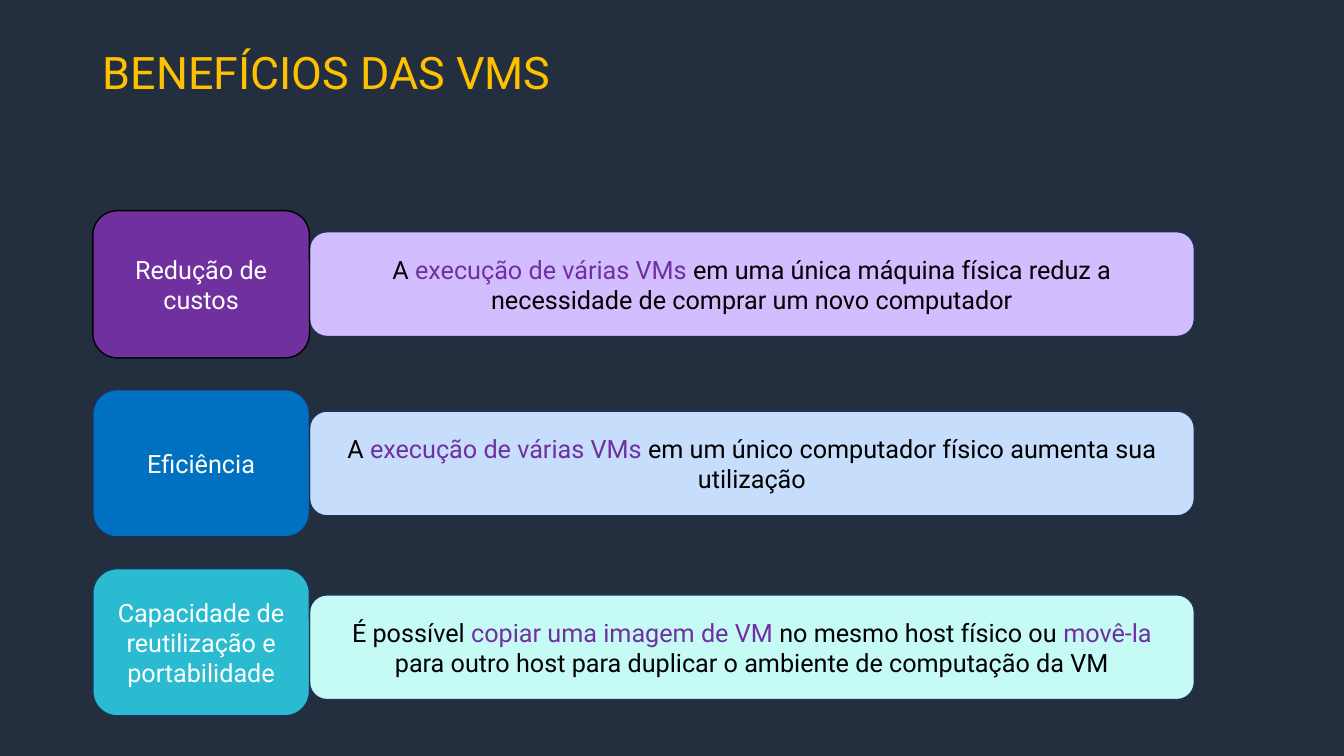
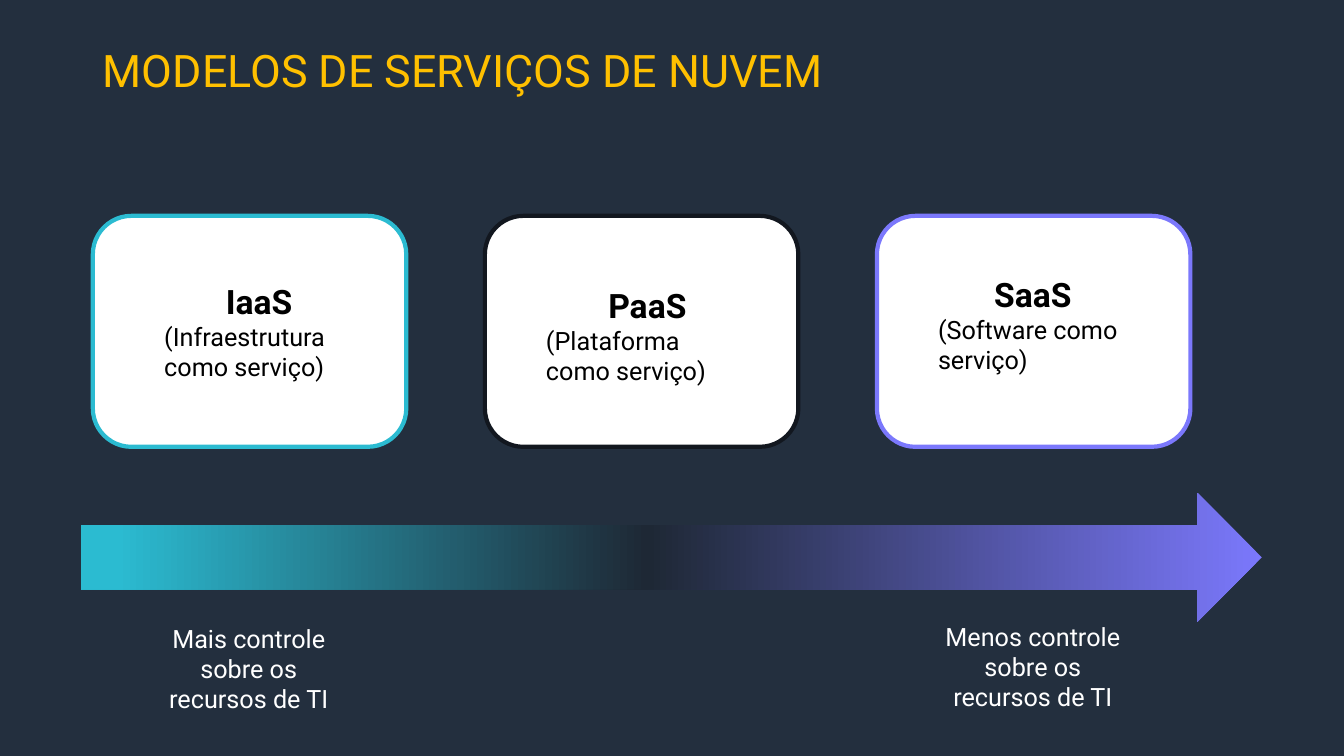
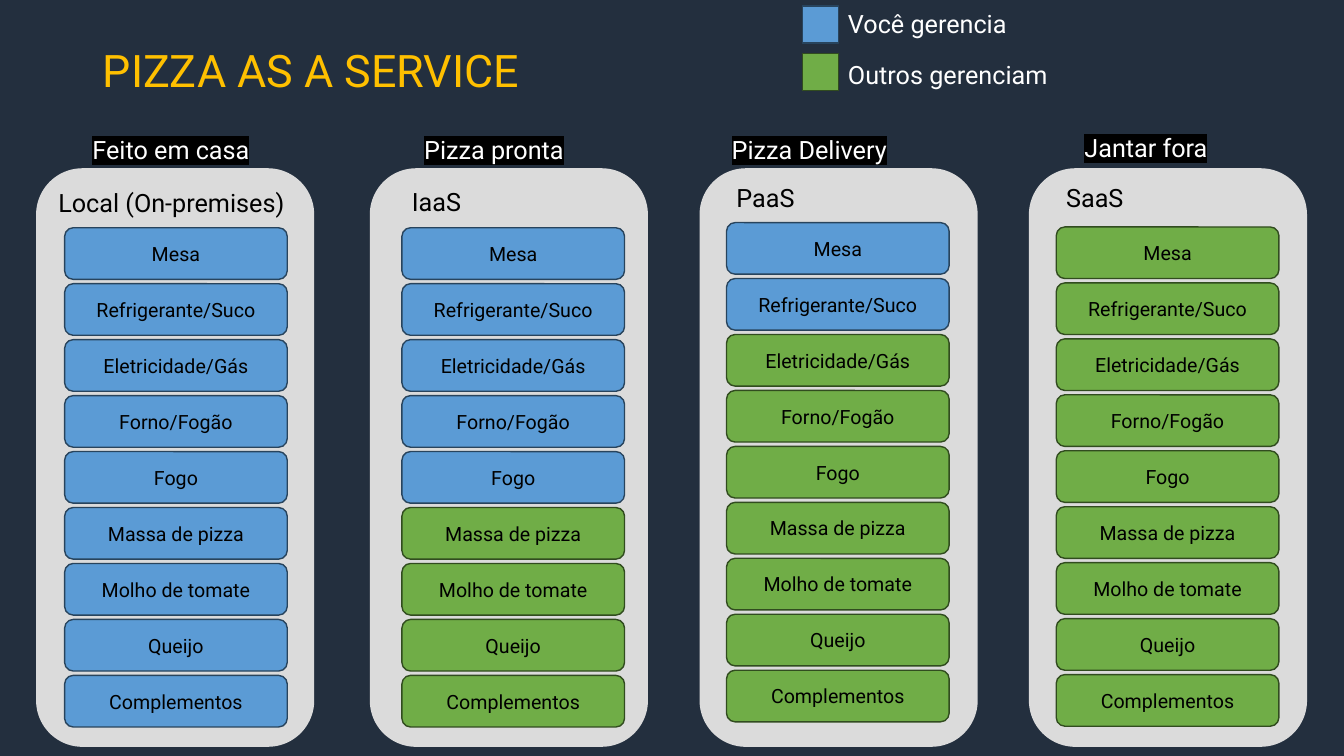
from pptx import Presentation
from pptx.dml.color import RGBColor
from pptx.enum.shapes import MSO_SHAPE as SHAPE
from pptx.enum.text import MSO_ANCHOR as ANCHOR, PP_ALIGN as ALIGN
from pptx.oxml import parse_xml
from pptx.oxml.ns import nsdecls, qn
from pptx.util import Cm, Pt

FONT = "Roboto"
COLORS = {
    "background": "232F3E", "title": "FFC000", "white": "FFFFFF",
    "black": "000000", "outline": "1E3256", "purple": "7030A0",
    "lilac": "D2BEFF", "blue": "0070C0", "pale_blue": "C6DDFB",
    "teal": "2BBBD1", "pale_teal": "C6FBF5", "violet": "7B78FC",
    "ink": "12171F", "arrow_mid": "1E2835", "panel": "DBDBDB",
    "you": "5B9BD5", "you_line": "28445D",
    "others": "70AD47", "others_line": "314C1F",
}


def rgb(name):
    return RGBColor.from_string(COLORS[name])


# Text helpers
def format_run(r, size, color, bold=False):
    r.font.name = FONT
    r.font.size = Pt(size)
    r.font.bold = bold
    r.font.color.rgb = rgb(color)


def set_text(tf, text, size=18, color="black", align=ALIGN.CENTER):
    tf.word_wrap = True
    tf.text = text
    p = tf.paragraphs[0]
    p.alignment = align
    format_run(p.runs[0], size, color)
    return p


def add_text(slide, x, y, w, h, text, color="black", align=ALIGN.LEFT, size=18):
    tf = slide.shapes.add_textbox(Cm(x), Cm(y), Cm(w), Cm(h)).text_frame
    set_text(tf, text, size, color, align)
    return tf


def highlight(r, color):
    mark = parse_xml(f'<a:highlight {nsdecls("a")}>'
                     f'<a:srgbClr val="{COLORS[color]}"/></a:highlight>')
    r.font._element.find(qn("a:solidFill")).addnext(mark)


# Shape helpers
def add_box(slide, kind, x, y, w, h, fill, line=None, width=1):
    s = slide.shapes.add_shape(kind, Cm(x), Cm(y), Cm(w), Cm(h))
    s.shadow.inherit = False
    s.fill.solid()
    s.fill.fore_color.rgb = rgb(fill)
    if line:
        s.line.color.rgb = rgb(line)
        s.line.width = Pt(width)
    else:
        s.line.fill.background()
    s.text_frame.vertical_anchor = ANCHOR.MIDDLE
    return s


def set_gradient(s, stops, angle):
    s.fill.gradient()
    s.fill.gradient_angle = angle
    stop_list = s._element.spPr.find(qn("a:gradFill")).find(qn("a:gsLst"))
    for old in list(stop_list):
        stop_list.remove(old)
    for percent, color in stops:
        stop_list.append(parse_xml(
            f'<a:gs {nsdecls("a")} pos="{percent * 1000}">'
            f'<a:srgbClr val="{COLORS[color]}"/></a:gs>'))


def new_slide(prs, title, y=0, w=29.21):
    slide = prs.slides.add_slide(prs.slide_layouts[6])
    tf = add_text(slide, 2.34, y, w, 3.68, title, "title", size=32)
    tf.vertical_anchor = ANCHOR.MIDDLE
    tf.paragraphs[0].line_spacing = 0.9
    return slide


# Slide 1: benefits, with every second text part emphasised
def build_benefits(prs):
    slide = new_slide(prs, "BENEFÍCIOS DAS VMS", y=0.05)
    rows = [
        ("Redução de custos", "purple", "black", "lilac", 5.84,
         ["A ", "execução de várias VMs ", "em uma única máquina física reduz a "
          "necessidade de comprar um novo computador"]),
        ("Eficiência", "blue", "outline", "pale_blue", 10.36,
         ["A ", "execução de várias VMs",
          " em um único computador físico aumenta sua utilização"]),
        ("Capacidade de reutilização e portabilidade", "teal", "outline",
         "pale_teal", 14.99,
         ["É possível ", "copiar uma imagem de VM ",
          "no mesmo host físico ou ", "movê-la",
          " para outro host para duplicar o ambiente de computação da VM"]),
    ]
    for i, (label, fill, line, card_fill, card_y, parts) in enumerate(rows):
        card = add_box(slide, SHAPE.FLOWCHART_ALTERNATE_PROCESS,
                       7.8, card_y, 22.3, 2.64, card_fill, "outline")
        p = set_text(card.text_frame, parts[0])
        for j, part in enumerate(parts[1:], 1):
            r = p.add_run()
            r.text = part
            format_run(r, 18, "purple" if j % 2 else "black")
        s = add_box(slide, SHAPE.ROUNDED_RECTANGLE,
                    2.34, 5.31 + 4.51 * i, 5.46, 3.71, fill, line)
        set_text(s.text_frame, label, color="white")


# Slide 2: service models
def build_models(prs):
    slide = new_slide(prs, "MODELOS DE SERVIÇOS DE NUVEM")
    arrow = add_box(slide, SHAPE.RIGHT_ARROW, 2.03, 12.42, 29.77, 3.25, "teal")
    set_gradient(arrow, [(0, "violet"), (52, "arrow_mid"), (97, "teal")], 180)

    models = [
        ("IaaS", "(Infraestrutura como serviço)", "teal", 3.89, 6.96, 5.28),
        ("PaaS", "(Plataforma como serviço)", "ink", 13.51, 7.06, 5.61),
        ("SaaS", "(Software como serviço)", "violet", 23.39, 6.78, 5.28),
    ]
    for i, (name, meaning, line, x, y, w) in enumerate(models):
        add_box(slide, SHAPE.ROUNDED_RECTANGLE,
                2.34 + 9.88 * i, 5.44, 7.9, 5.82, "white", line, 3)
        tf = add_text(slide, x, y, w, 2.82, name, align=ALIGN.CENTER, size=24)
        tf.paragraphs[0].runs[0].font.bold = True
        p = tf.add_paragraph()
        p.text = meaning
        format_run(p.runs[0], 18, "black")

    for x, y, amount in [(3.63, 15.57, "Mais"), (23.39, 15.52, "Menos")]:
        add_text(slide, x, y, 5.28, 2.57,
                 f"{amount} controle sobre os recursos de TI",
                 "white", ALIGN.CENTER)


# Slide 3: pizza comparison
def build_pizza(prs):
    slide = new_slide(prs, "PIZZA AS A SERVICE", w=14.02)
    items = ["Mesa", "Refrigerante/Suco", "Eletricidade/Gás", "Forno/Fogão",
             "Fogo", "Massa de pizza", "Molho de tomate", "Queijo",
             "Complementos"]
    # caption, its x and y; model, its x and y; panel x; items x and y; own items
    columns = [
        ("Feito em casa", 2.08, 3.25, "Local (On-premises)", 1.22, 4.6,
         0.91, 1.63, 5.74, 9),
        ("Pizza pronta", 10.44, 3.25, "IaaS", 10.13, 4.57,
         9.32, 10.13, 5.74, 5),
        ("Pizza Delivery", 18.19, 3.25, "PaaS", 18.31, 4.47,
         17.63, 18.31, 5.61, 2),
        ("Jantar fora", 27.08, 3.2, "SaaS", 26.62, 4.47,
         25.93, 26.62, 5.72, 0),
    ]
    for (caption, caption_x, caption_y, model, model_x, model_y,
         panel_x, item_x, item_y, own) in columns:
        add_box(slide, SHAPE.ROUNDED_RECTANGLE,
                panel_x, 4.24, 7.01, 14.58, "panel")
        for i, item in enumerate(items):
            who = "you" if i < own else "others"
            s = add_box(slide, SHAPE.FLOWCHART_ALTERNATE_PROCESS, item_x,
                        item_y + 1.41 * i, 5.61, 1.3, who, who + "_line")
            set_text(s.text_frame, item, 14)
        add_text(slide, model_x, model_y, 6.43, 1.02, model)
        tf = add_text(slide, caption_x, caption_y, 4.7, 1.02, caption, "white")
        highlight(tf.paragraphs[0].runs[0], "black")

    # Legend
    legend = [("you", "Você gerencia", 0.15, 0.08),
              ("others", "Outros gerenciam", 1.35, 1.37)]
    for who, label, key_y, label_y in legend:
        add_box(slide, SHAPE.RECTANGLE, 20.22, key_y, 0.91, 0.94,
                who, who + "_line")
        add_text(slide, 21.12, label_y, 10, 1.02, label, "white")


def main():
    prs = Presentation()
    prs.slide_width, prs.slide_height = Cm(33.87), Cm(19.05)
    fill = prs.slide_master.background.fill
    fill.solid()
    fill.fore_color.rgb = rgb("background")
    build_benefits(prs)
    build_models(prs)
    build_pizza(prs)
    prs.save("out.pptx")


if __name__ == "__main__":
    main()
